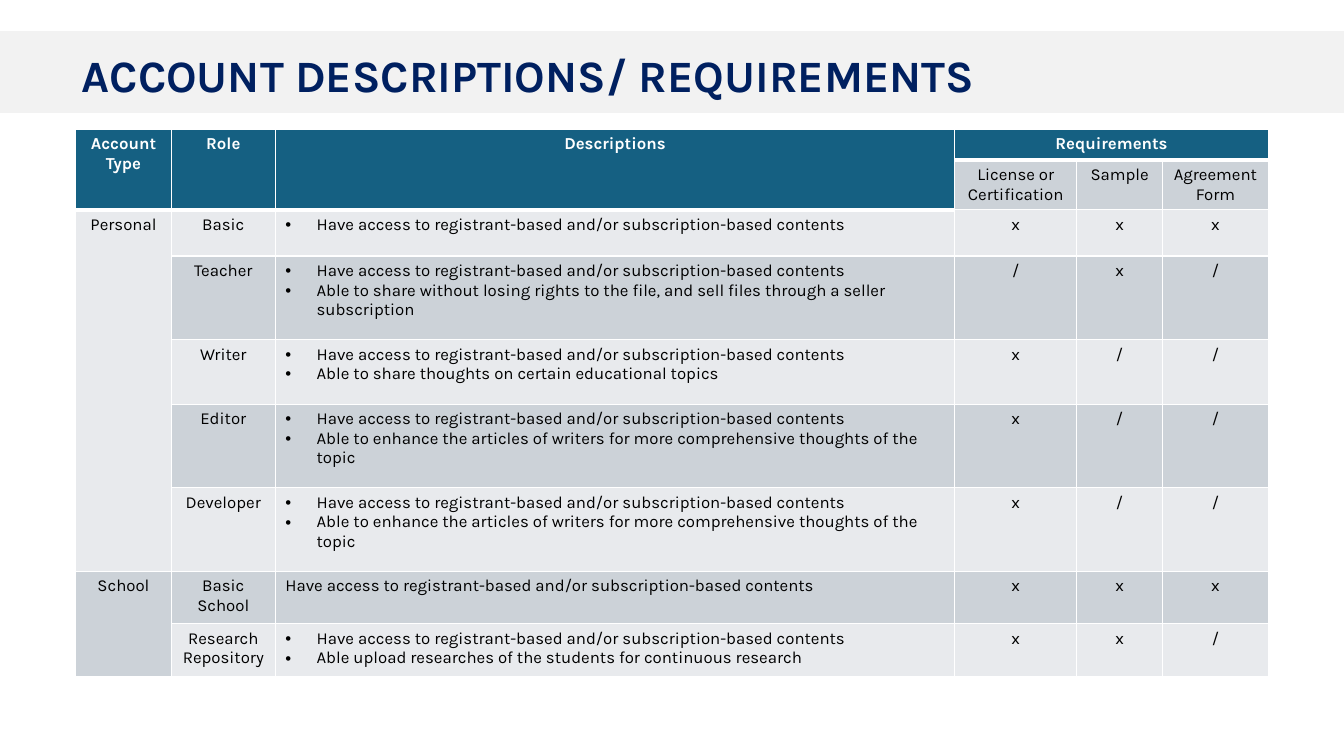
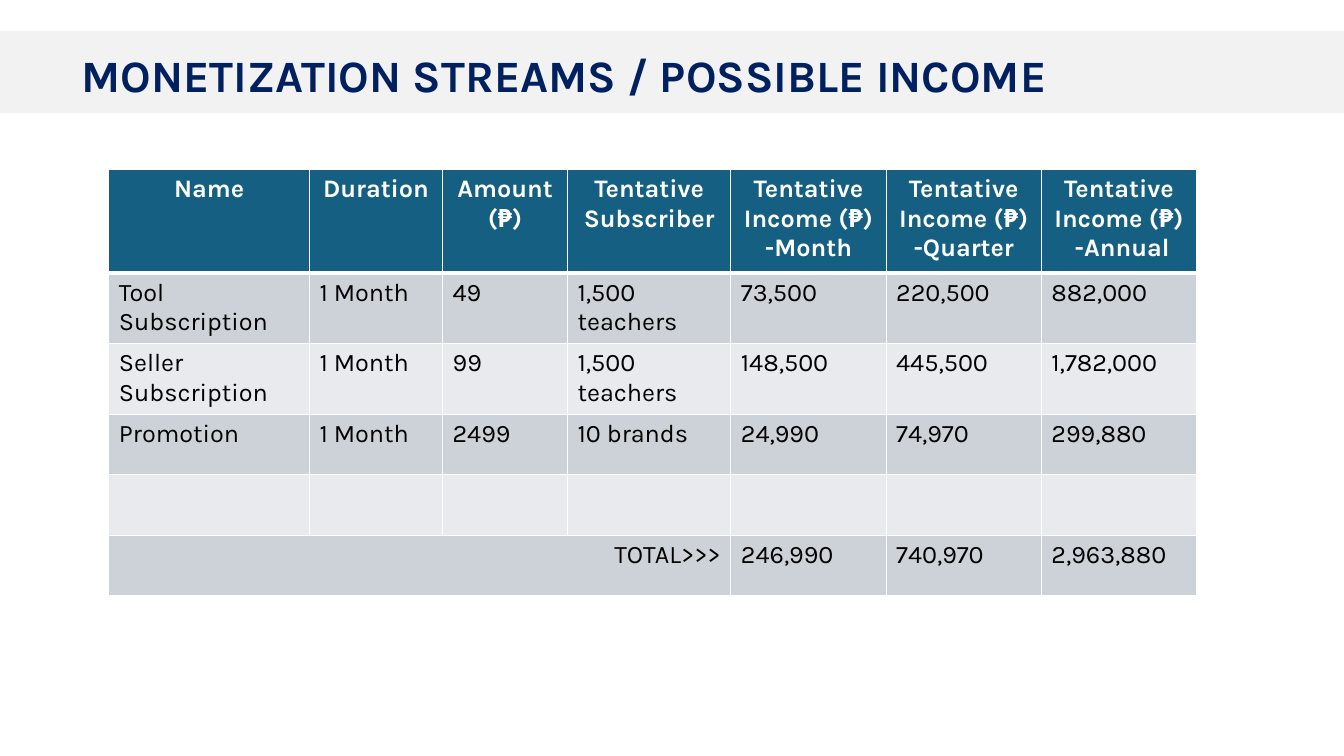
from lxml.etree import SubElement
from pptx import Presentation
from pptx.dml.color import RGBColor
from pptx.enum.shapes import MSO_SHAPE as Shape
from pptx.enum.text import MSO_ANCHOR as Anchor, MSO_AUTO_SIZE as AutoSize, PP_ALIGN as Align
from pptx.oxml.ns import qn
from pptx.util import Inches, Pt

# Shared look
NAVY, TEAL, BAND = "002060", "156082", "F2F2F2"
WHITE, BLACK = "FFFFFF", "000000"
STRIPES = ["E8EAED", "CCD2D8"]
FONT = "Karla"
TITLE_FRAME = {"word_wrap": True, "auto_size": AutoSize.NONE, "vertical_anchor": Anchor.TOP}
ALIGN = {"l": Align.LEFT, "c": Align.CENTER}


def write(para, text, size, color, bold):
    span = para.add_run()
    span.text = text
    look = {"name": FONT, "size": Pt(size), "bold": bold}
    for name, value in look.items():
        setattr(span.font, name, value)
    span.font.color.rgb = RGBColor.from_string(color)


def add_borders(cell, bottom):
    props = cell._tc.get_or_add_tcPr()
    for side, points in {"L": 1, "R": 1, "T": 1, "B": bottom}.items():
        line = SubElement(props, qn(f"a:ln{side}"), w=str(Pt(points)))
        SubElement(SubElement(line, qn("a:solidFill")), qn("a:srgbClr"), val=WHITE)


# Content: a line that starts with • becomes a bullet, None is covered by a merge
ACCESS = "Have access to registrant-based and/or subscription-based contents"
ENHANCE = "Able to enhance the articles of writers for more comprehensive thoughts of the topic"
SHARE = "Able to share without losing rights to the file, and sell files through a seller subscription"

accounts = {
    "title": "ACCOUNT DESCRIPTIONS/ REQUIREMENTS",
    "at": (0.75, 1.28),
    "size": 12,
    "columns": [0.95, 1.03, 6.74, 1.21, 0.85, 1.05],
    "heights": [0.31, 0.46, 0.46, 0.83, 0.64, 0.83, 0.83, 0.52, 0.52],
    "aligns": "cclccc",
    "merges": [(0, 0, 1, 0), (0, 1, 1, 1), (0, 2, 1, 2), (0, 3, 0, 5), (2, 0, 6, 0), (7, 0, 8, 0)],
    "rows": [
        ["Account Type", "Role", "Descriptions", "Requirements", None, None],
        [None, None, None, "License or Certification", "Sample", "Agreement Form"],
        ["Personal", "Basic", f"•{ACCESS}", "x", "x", "x"],
        [None, "Teacher", f"•{ACCESS}\n•{SHARE}", "/", "x", "/"],
        [None, "Writer", f"•{ACCESS}\n•Able to share thoughts on certain educational topics", "x", "/", "/"],
        [None, "Editor", f"•{ACCESS}\n•{ENHANCE}", "x", "/", "/"],
        [None, "Developer", f"•{ACCESS}\n•{ENHANCE}", "x", "/", "/"],
        ["School", "Basic School", ACCESS, "x", "x", "x"],
        [None, "Research Repository",
         f"•{ACCESS}\n•Able upload researches of the students for continuous research", "x", "x", "/"],
    ],
}
income = {
    "title": "MONETIZATION STREAMS / POSSIBLE INCOME",
    "at": (1.08, 1.68),
    "size": 18,
    "columns": [1.99, 1.32, 1.24, 1.62, 1.54, 1.54, 1.54],
    "heights": [1.03, 0.7, 0.7, 0.6, 0.6, 0.6],
    "aligns": "lllllll",
    "merges": [(5, 0, 5, 3)],
    "rows": [
        ["Name", "Duration", "Amount (₱)", "Tentative Subscriber", "Tentative Income (₱)\n-Month",
         "Tentative Income (₱)\n-Quarter", "Tentative Income (₱)\n -Annual"],
        ["Tool Subscription", "1 Month", "49", "1,500 teachers", "73,500", "220,500", "882,000"],
        ["Seller Subscription", "1 Month", "99", "1,500 teachers", "148,500", "445,500", "1,782,000"],
        ["Promotion", "1 Month", "2499", "10 brands", "24,990", "74,970", "299,880"],
        [None] * 7,
        ["TOTAL>>>", None, None, None, "246,990", "740,970", "2,963,880"],
    ],
}

deck = Presentation()
deck.slide_width, deck.slide_height = Inches(13.33), Inches(7.5)

for sheet in (accounts, income):
    page = deck.slides.add_slide(deck.slide_layouts[5])

    # Grey band, behind the title
    band = page.shapes.add_shape(Shape.RECTANGLE, 0, Inches(0.31), deck.slide_width, Inches(0.81))
    band.shadow.inherit = False
    band.fill.solid()
    band.fill.fore_color.rgb = RGBColor.from_string(BAND)
    band.line.fill.background()
    band._element.getparent().insert(2, band._element)

    # Title
    title = page.shapes.title
    title.left, title.top, title.width, title.height = map(Inches, (0.71, 0.42, 12.3, 0.64))
    for name, value in TITLE_FRAME.items():
        setattr(title.text_frame, name, value)
    para = title.text_frame.paragraphs[0]
    para.alignment = Align.LEFT
    write(para, sheet["title"], 32, NAVY, True)

    # Table grid
    rows, columns, heights = sheet["rows"], sheet["columns"], sheet["heights"]
    left, top = map(Inches, sheet["at"])
    table = page.shapes.add_table(len(rows), len(columns), left, top,
                                  Inches(sum(columns)), Inches(sum(heights))).table
    table.first_row = table.horz_banding = False
    for column, width in zip(table.columns, columns):
        column.width = Inches(width)
    for row, height in zip(table.rows, heights):
        row.height = Inches(height)
    for r1, c1, r2, c2 in sheet["merges"]:
        table.cell(r1, c1).merge(table.cell(r2, c2))

    # Table cells
    for r, row in enumerate(rows):
        for c, text in enumerate(row):
            cell = table.cell(r, c)
            header = r == 0 or (r == 1 and cell.is_spanned)
            add_borders(cell, 3 if header else 1)
            cell.fill.solid()
            cell.fill.fore_color.rgb = RGBColor.from_string(TEAL if header else STRIPES[r % 2])
            if header:
                alignment = Align.CENTER
            elif cell.is_merge_origin and cell.span_width > 1:
                alignment = Align.RIGHT
            else:
                alignment = ALIGN[sheet["aligns"][c]]

            frame = cell.text_frame
            for i, line in enumerate((text or "").split("\n")):
                para = frame.add_paragraph() if i else frame.paragraphs[0]
                para.alignment = alignment
                if line.startswith("•"):
                    props = para._p.get_or_add_pPr()
                    props.set("marL", str(Inches(0.31)))
                    props.set("indent", str(-Inches(0.31)))
                    SubElement(props, qn("a:buFont"), typeface="Arial")
                    SubElement(props, qn("a:buChar"), char="•")
                write(para, line.lstrip("•"), sheet["size"], WHITE if header else BLACK, header)

deck.save("out.pptx")
